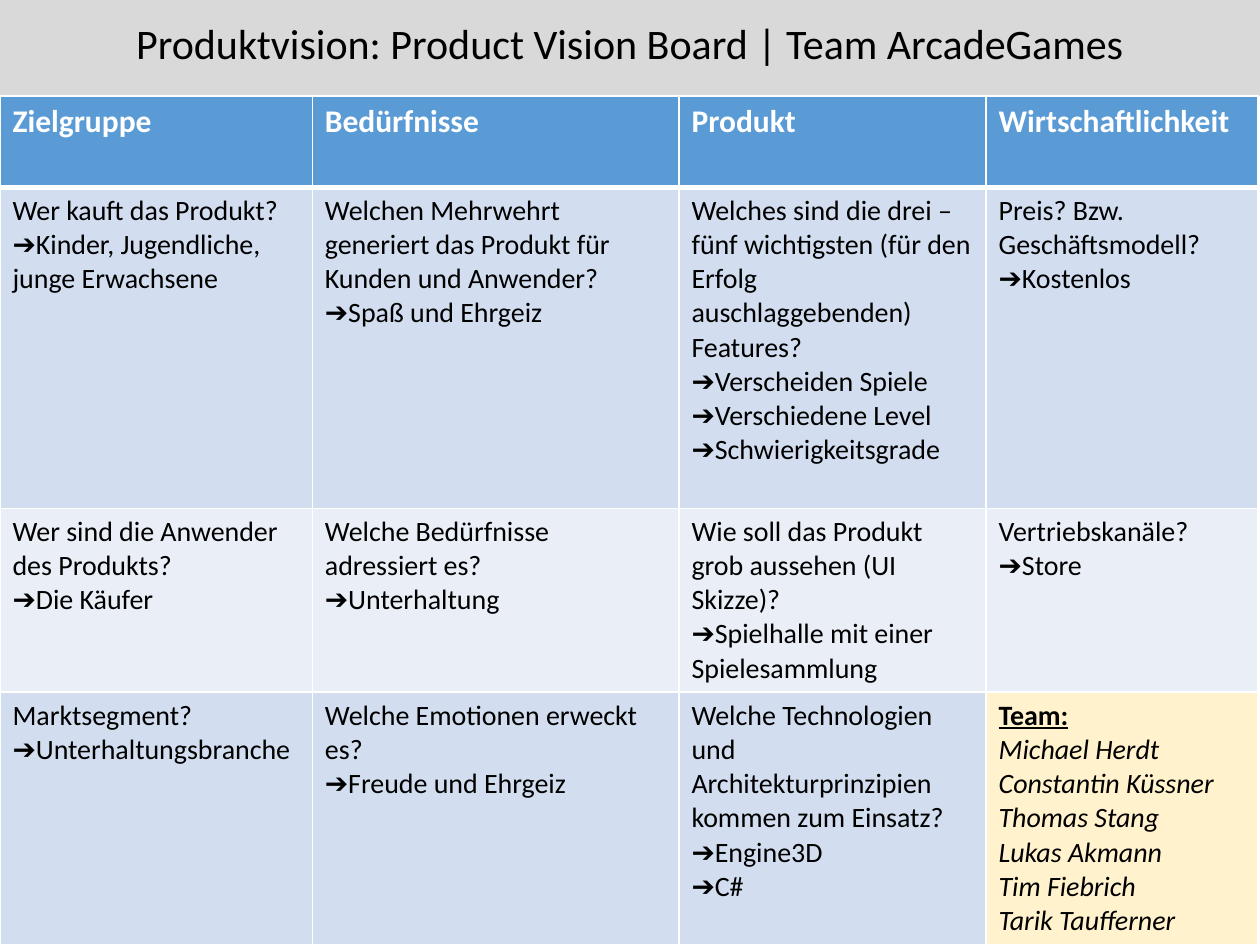
from lxml.etree import SubElement
from pptx import Presentation
from pptx.dml.color import RGBColor
from pptx.enum.shapes import MSO_SHAPE
from pptx.enum.text import MSO_ANCHOR, PP_ALIGN
from pptx.oxml.ns import qn
from pptx.util import Pt

# Content: one list of paragraphs per cell
HEADLINE = "Produktvision: Product Vision Board | Team ArcadeGames"
HEADINGS = ["Zielgruppe", "Bedürfnisse", "Produkt", "Wirtschaftlichkeit"]
ANSWERS = [
    [["Wer kauft das Produkt?", "➔Kinder, Jugendliche, junge Erwachsene"],
     ["Welchen Mehrwehrt generiert das Produkt für Kunden und Anwender?",
      "➔Spaß und Ehrgeiz"],
     ["Welches sind die drei – fünf wichtigsten (für den Erfolg "
      "auschlaggebenden) Features?",
      "➔Verscheiden Spiele", "➔Verschiedene Level", "➔Schwierigkeitsgrade"],
     ["Preis? Bzw. Geschäftsmodell?", "➔Kostenlos"]],
    [["Wer sind die Anwender des Produkts?", "➔Die Käufer"],
     ["Welche Bedürfnisse adressiert es?", "➔Unterhaltung"],
     ["Wie soll das Produkt grob aussehen (UI Skizze)?",
      "➔Spielhalle mit einer Spielesammlung"],
     ["Vertriebskanäle?", "➔Store"]],
    [["Marktsegment?", "➔Unterhaltungsbranche"],
     ["Welche Emotionen erweckt es?", "➔Freude und Ehrgeiz"],
     ["Welche Technologien und Architekturprinzipien kommen zum Einsatz?",
      "➔Engine3D", "➔C#"],
     ["Team:", "Michael Herdt", "Constantin Küssner", "Thomas Stang",
      "Lukas Akmann", "Tim Fiebrich", "Tarik Taufferner"]],
]
BOARD = [[[heading] for heading in HEADINGS]] + ANSWERS

# Layout and colours
SLIDE_WIDTH, SLIDE_HEIGHT, BAND_HEIGHT = 720, 540, 55
COLUMN_WIDTHS = [178.5, 209.5, 175.5, 155.5]
ROW_HEIGHTS = [52, 183.5, 105, 144.5]
ROW_FILLS = ["5B9BD5", "D2DEEF", "EAEFF7", "D2DEEF"]
TEAM_FILL, BAND_FILL, BLACK, WHITE = "FFF2CC", "D9D9D9", "000000", "FFFFFF"


def paint(fill, color):
    fill.solid()
    fill.fore_color.rgb = RGBColor.from_string(color)


def style(font, size, color, bold=False):
    font.name, font.size, font.bold = "Calibri", Pt(size), bold
    font.color.rgb = RGBColor.from_string(color)


def add_borders(cell, widths):
    properties = cell._tc.get_or_add_tcPr()
    for side, width in widths.items():
        line = SubElement(properties, qn(f"a:ln{side}"), w=str(Pt(width)))
        SubElement(SubElement(line, qn("a:solidFill")), qn("a:srgbClr"), val=WHITE)


presentation = Presentation()
presentation.slide_width, presentation.slide_height = Pt(SLIDE_WIDTH), Pt(SLIDE_HEIGHT)
slide = presentation.slides.add_slide(presentation.slide_layouts[5])

# Headline on its grey band
headline = slide.shapes.title
headline.left, headline.top, headline.width, headline.height = (
    Pt(36.5), Pt(9.5), Pt(647), Pt(34))
headline.text_frame.text = HEADLINE
headline.text_frame.vertical_anchor = MSO_ANCHOR.MIDDLE
headline_line = headline.text_frame.paragraphs[0]
headline_line.alignment = PP_ALIGN.CENTER
headline_line.line_spacing = 0.9
style(headline_line.font, 24, BLACK)

band = slide.shapes.add_shape(MSO_SHAPE.RECTANGLE, 0, 0, Pt(SLIDE_WIDTH), Pt(BAND_HEIGHT))
band.shadow.inherit = False
paint(band.fill, BAND_FILL)
band.line.fill.background()
headline._element.addprevious(band._element)

# Vision board
board = slide.shapes.add_table(
    len(BOARD), len(HEADINGS), 0, Pt(BAND_HEIGHT),
    Pt(sum(COLUMN_WIDTHS)), Pt(sum(ROW_HEIGHTS))).table
for column, width in zip(board.columns, COLUMN_WIDTHS):
    column.width = Pt(width)
for row, height in zip(board.rows, ROW_HEIGHTS):
    row.height = Pt(height)

for r, answers in enumerate(BOARD):
    for c, lines in enumerate(answers):
        cell = board.cell(r, c)
        is_heading, is_team = r == 0, lines[0] == "Team:"
        add_borders(cell, {"L": 1, "R": 1, "T": 3 if r == 1 else 1,
                           "B": 3 if is_heading else 1})
        paint(cell.fill, TEAM_FILL if is_team else ROW_FILLS[r])
        cell.text = "\n".join(lines)
        for index, paragraph in enumerate(cell.text_frame.paragraphs):
            is_label = is_team and index == 0
            style(paragraph.font, 18 if is_heading else 16,
                  WHITE if is_heading else BLACK, is_heading or is_label)
            paragraph.font.underline = is_label
            paragraph.font.italic = is_team and not is_label

presentation.save("out.pptx")
